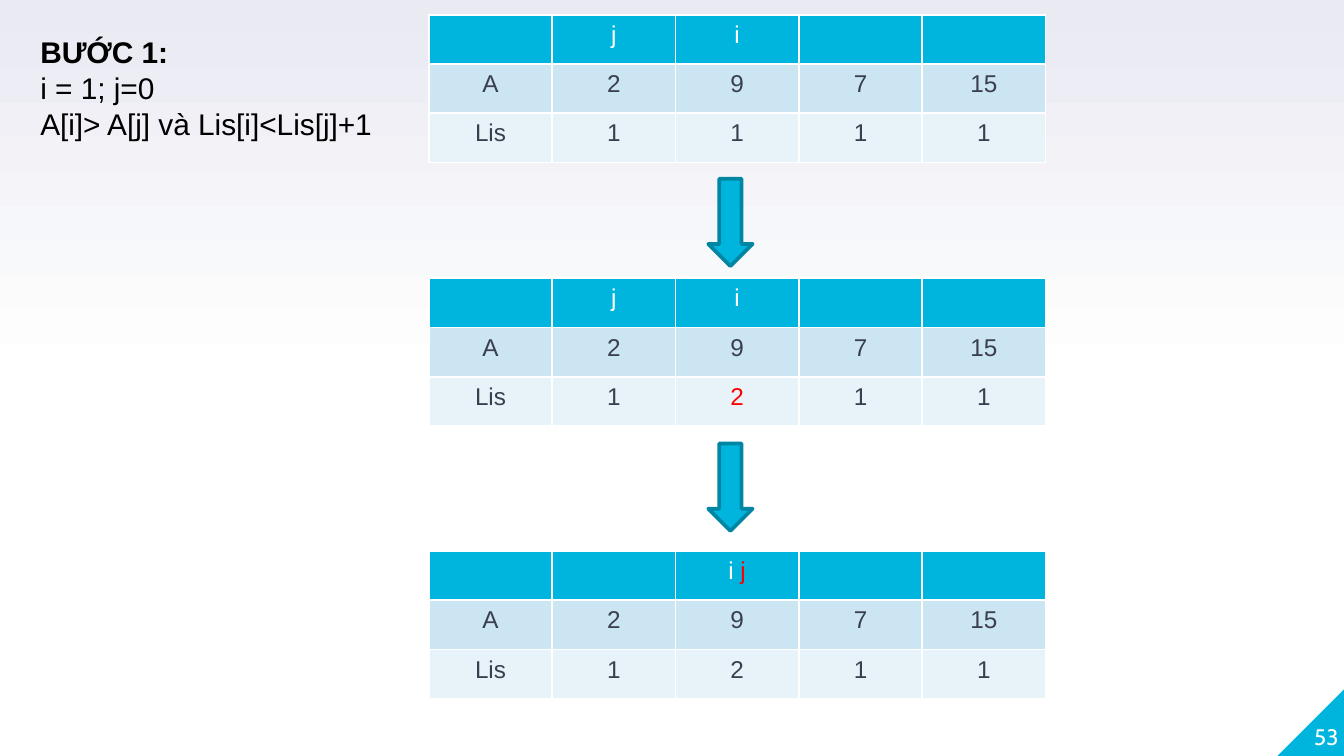
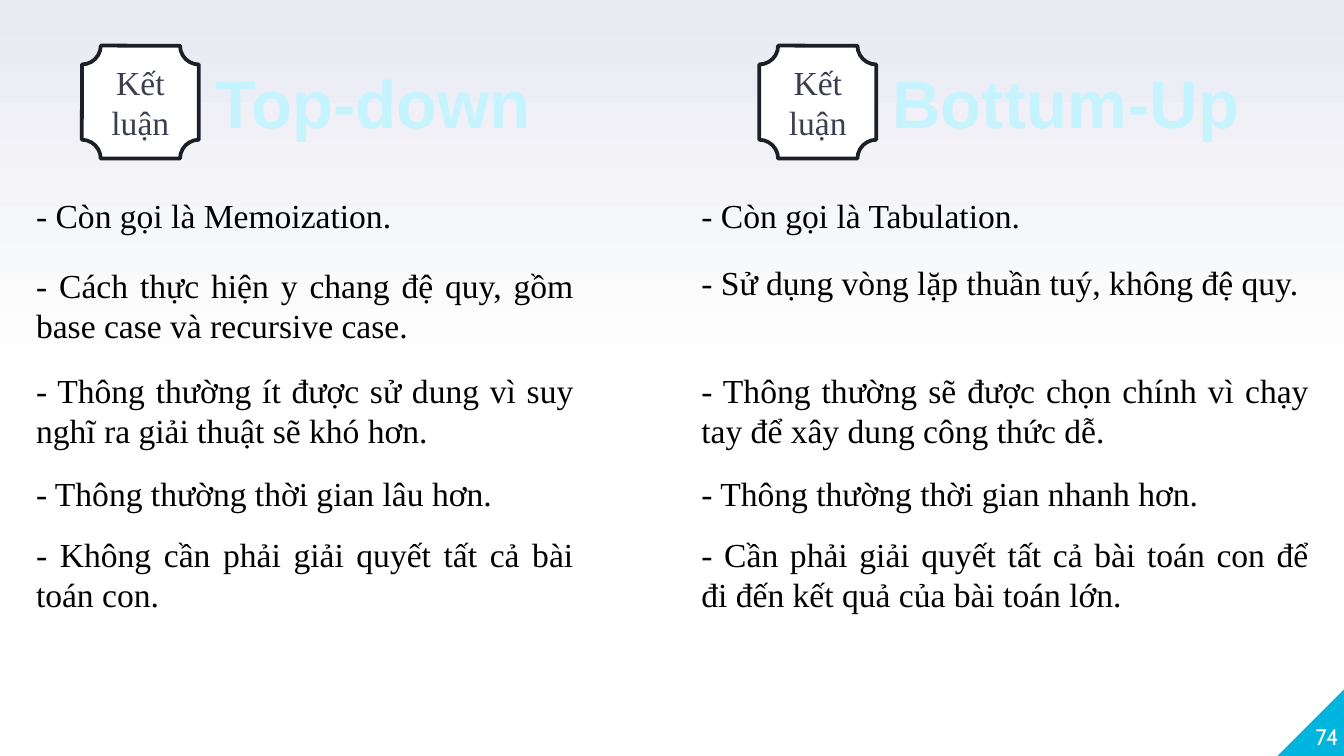
from pptx import Presentation
from pptx import util as u
from pptx.dml.color import RGBColor
from pptx.enum import shapes, text
from pptx.oxml import ns

# Colours
WHITE = RGBColor(0xFF, 0xFF, 0xFF)
BLACK = RGBColor(0, 0, 0)
HAZE = RGBColor(0xE9, 0xEA, 0xF2)
CYAN = RGBColor(0x00, 0xB5, 0xDD)
TEAL = RGBColor(0x00, 0x86, 0xA3)
PALE = RGBColor(0xC5, 0xF4, 0xFF)
BAND = RGBColor(0xCC, 0xE5, 0xF2)
LIGHT = RGBColor(0xE7, 0xF3, 0xF9)
SLATE = RGBColor(0x3A, 0x3F, 0x50)
INK = RGBColor(0x1D, 0x1F, 0x28)
RED = RGBColor(0xFF, 0, 0)

# Text formats
STEP = dict(name="Arial", size=u.Pt(16), bold=False, color=BLACK)
HEAD = dict(name="Arial", size=u.Pt(36), bold=True, color=PALE)
CELL = dict(name="Arial", size=u.Pt(13), color=SLATE)
NOTE = dict(name="Times New Roman", size=u.Pt(18), color=BLACK)
PAGE = dict(name="Cabin", size=u.Pt(12), color=WHITE)

ALIGN = text.PP_ALIGN
ANCHOR = text.MSO_ANCHOR
KIND = shapes.MSO_SHAPE


def style(font, form):
    for key, val in form.items():
        if key == "color":
            font.color.rgb = val
        else:
            setattr(font, key, val)


def place(shape, box):
    for key, val in zip(("left", "top", "width", "height"), box):
        setattr(shape, key, u.Inches(val))


def write(frame, lines, form, align=ALIGN.LEFT, **attrs):
    attrs = dict(word_wrap=True, vertical_anchor=ANCHOR.TOP) | attrs
    for key, val in attrs.items():
        setattr(frame, key, val)
    frame.text = "\n".join(lines)
    for para in frame.paragraphs:
        para.alignment = align
        para.space_before = u.Pt(0)
        for run in para.runs:
            style(run.font, form)


def label(slide, box, line, form, align, **attrs):
    area = slide.shapes.add_textbox(*map(u.Inches, box))
    write(area.text_frame, [line], form, align, **attrs)


def draw(slide, kind, box, fill, line=None):
    shape = slide.shapes.add_shape(kind, *map(u.Inches, box))
    shape.shadow.inherit = False
    shape.fill.solid()
    shape.fill.fore_color.rgb = fill
    if line is None:
        shape.line.fill.background()
    else:
        shape.line.color.rgb = line
        shape.line.width = u.Pt(2)
    return shape


# Shared background, corner and page number
def start(deck, layout, page):
    slide = deck.slides.add_slide(deck.slide_layouts[layout])
    fill = slide.background.fill
    fill.gradient()
    fill.gradient_angle = 90
    for stop, pos, tone in zip(fill.gradient_stops, (0.5, 1), (WHITE, HAZE)):
        stop.position = pos
        stop.color.rgb = tone
    fold = draw(slide, KIND.RIGHT_TRIANGLE, (9.5, 5.12, 0.51, 0.51), CYAN)
    fold._element.spPr.find(ns.qn("a:xfrm")).set("flipH", "1")
    label(slide, (9.46, 5.07, 0.5, 0.51), page, PAGE, ALIGN.RIGHT,
          vertical_anchor=ANCHOR.BOTTOM, margin_left=0, margin_right=0,
          margin_top=0, margin_bottom=0)
    return slide


# One cell: text after an asterisk is red
def fill_cell(cell, words, fill, tone):
    cell.fill.solid()
    cell.fill.fore_color.rgb = fill
    para = cell.text_frame.paragraphs[0]
    para.alignment = ALIGN.CENTER
    for n, part in enumerate(words.split("*")):
        if part:
            run = para.add_run()
            run.text = part
            style(run.font, CELL | dict(color=RED if n else tone))
    if not words:
        para._p.get_or_add_endParaRPr().set("sz", "1300")


# Table whose white rules come from the default table style
def grid(slide, box, rows):
    table = slide.shapes.add_table(
        len(rows), len(rows[0]), *map(u.Inches, box)).table
    for col in table.columns:
        col.width = u.Inches(box[2] / len(rows[0]))
    looks = ((CYAN, WHITE), (BAND, SLATE), (LIGHT, SLATE))
    for r, (row, look) in enumerate(zip(rows, looks)):
        table.rows[r].height = u.Inches(box[3] / len(rows))
        for c, words in enumerate(row):
            fill_cell(table.cell(r, c), words, *look)


# Slide with the three table states
def trace(deck, page, lines, states):
    slide = start(deck, 5, page)
    title = slide.shapes.title
    place(title, (0.2, 0.2, 3.29, 0.91))
    write(title.text_frame, lines, STEP,
          auto_size=text.MSO_AUTO_SIZE.NONE)
    title.text_frame.paragraphs[0].runs[0].font.bold = True
    for top, (head, lis) in zip((0.11, 2.07, 4.1), states):
        rows = [["", *head, "", ""], ["A", "2", "9", "7", "15"],
                ["Lis", "1", lis, "1", "1"]]
        grid(slide, (3.19, top, 4.59, 1.1), rows)
    for top in (1.33, 3.3):
        draw(slide, KIND.DOWN_ARROW, (5.27, top, 0.33, 0.65), CYAN, TEAL)


# One column of the summary
def column(slide, box, badge, head, name, tops, notes):
    left, top, width, _ = box
    plaque = draw(slide, KIND.PLAQUE, (badge, top, 0.87, 0.84), WHITE, INK)
    write(plaque.text_frame, ["Kết luận"], NOTE | dict(color=SLATE),
          ALIGN.CENTER, vertical_anchor=ANCHOR.MIDDLE)
    place(head, (badge + 0.89, top + 0.07, 3, 0.68))
    write(head.text_frame, [name], HEAD, auto_size=text.MSO_AUTO_SIZE.NONE)
    for drop, (tall, note) in zip(tops, notes):
        label(slide, (left, top + drop, width, tall), note, NOTE,
              ALIGN.JUSTIFY)


# Slide comparing the two methods
def compare(deck, page, sides):
    slide = start(deck, 4, page)
    heads = {h.placeholder_format.idx: h for h in slide.placeholders}
    for idx in (0, 2, 4):
        spare = heads[idx]._element
        spare.getparent().remove(spare)
    boxes = ((0.17, 0.34, 4.2, 4.3), (5.12, 0.34, 4.72, 4.3))
    for box, badge, idx, side in zip(boxes, (0.61, 5.65), (1, 3), sides):
        column(slide, box, badge, heads[idx], *side)


def main():
    deck = Presentation()
    deck.slide_width, deck.slide_height = u.Inches(10), u.Inches(5.625)
    trace(deck, "53",
          ["BƯỚC 1:", "i = 1; j=0", "A[i]> A[j] và Lis[i]<Lis[j]+1"],
          [(("j", "i"), "1"), (("j", "i"), "*2"), (("", "i *j"), "2")])
    one, two = 0.4, 0.71
    compare(deck, "74", [
        ("Top-down", (1.06, 1.58, 2.36, 3.13, 3.58), [
            (one, "- Còn gọi là Memoization."),
            (two, "- Cách thực hiện y chang đệ quy, gồm base case và "
                  "recursive case."),
            (two, "- Thông thường ít được sử dung vì suy nghĩ ra giải thuật "
                  "sẽ khó hơn."),
            (one, "- Thông thường thời gian lâu hơn."),
            (two, "- Không cần phải giải quyết tất cả bài toán con.")]),
        ("Bottum-Up", (1.06, 1.56, 2.36, 3.13, 3.58), [
            (one, "- Còn gọi là Tabulation."),
            (one, "- Sử dụng vòng lặp thuần tuý, không đệ quy."),
            (two, "- Thông thường sẽ được chọn chính vì chạy tay để xây dung "
                  "công thức dễ."),
            (one, "- Thông thường thời gian nhanh hơn."),
            (two, "- Cần phải giải quyết tất cả bài toán con để đi đến kết "
                  "quả của bài toán lớn.")])])
    deck.save("out.pptx")


if __name__ == "__main__":
    main()
